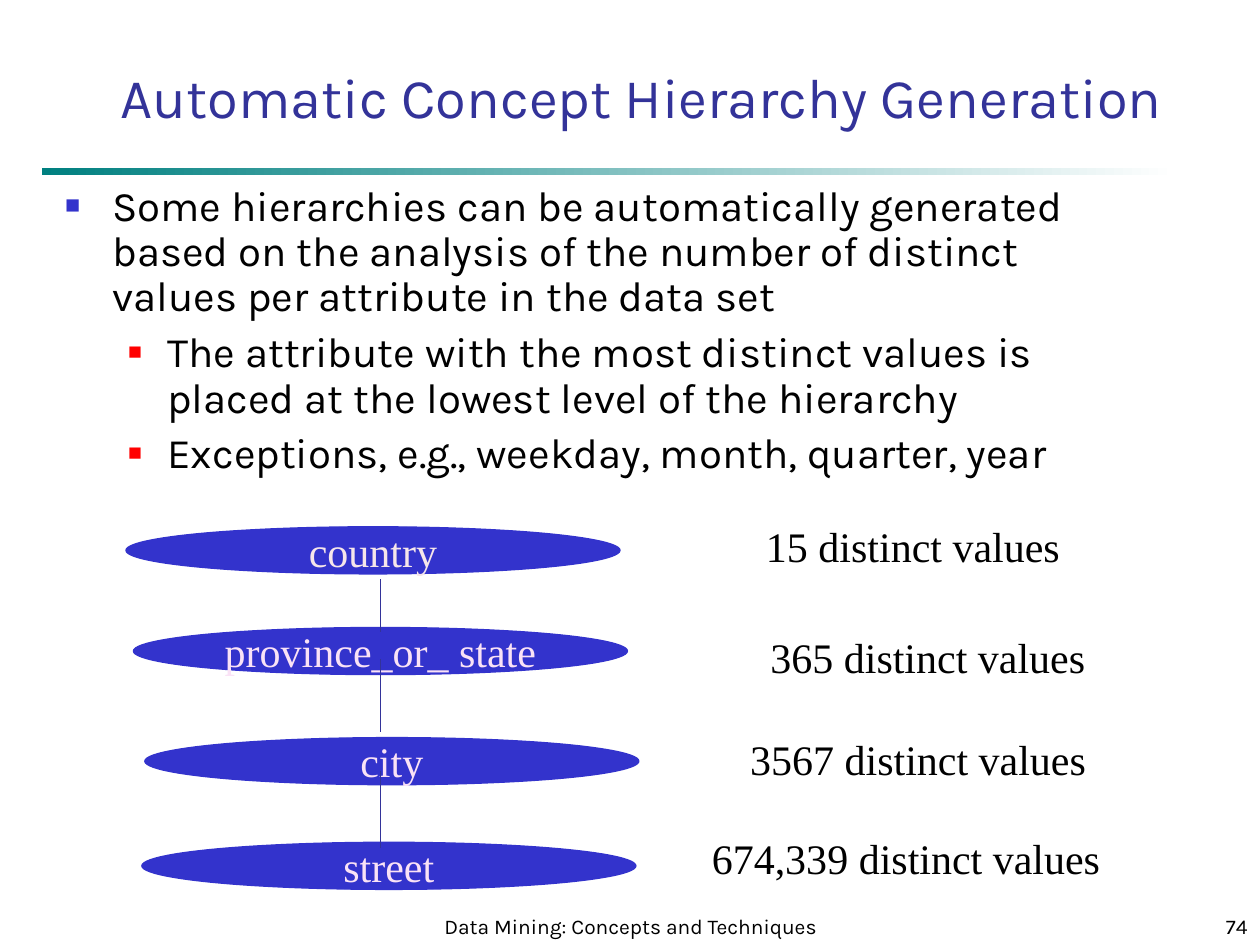
"""Build the slide on automatic concept hierarchy generation."""
from lxml.etree import SubElement
from pptx import Presentation
from pptx.dml.color import RGBColor
from pptx.enum.shapes import MSO_CONNECTOR, MSO_SHAPE
from pptx.enum.text import MSO_ANCHOR, MSO_AUTO_SIZE, PP_ALIGN
from pptx.oxml.ns import qn
from pptx.util import Cm, Pt

WHITE = RGBColor(0xFF, 0xFF, 0xFF)
BLACK = RGBColor(0x00, 0x00, 0x00)
TEAL = RGBColor(0x00, 0x80, 0x80)
NAVY = RGBColor(0x33, 0x33, 0x99)
BLUE = RGBColor(0x33, 0x33, 0xCC)
RED = RGBColor(0xFF, 0x00, 0x00)
ROSE = RGBColor(0xF6, 0xE6, 0xEA)
PINK = RGBColor(0xFA, 0xE2, 0xF6)
SANS = "Karla"
SERIF = "Times New Roman"


def write(shape, text, size=24, font=SERIF, color=BLACK, align=PP_ALIGN.CENTER,
          anchor=MSO_ANCHOR.TOP, wrap=True):
    frame = shape.text_frame
    frame.auto_size = MSO_AUTO_SIZE.NONE
    frame.word_wrap = wrap
    frame.vertical_anchor = anchor
    paragraph = frame.paragraphs[0]
    if paragraph.runs:
        paragraph = frame.add_paragraph()
    paragraph.alignment = align
    run = paragraph.add_run()
    run.text = text
    run.font.size = Pt(size)
    run.font.name = font
    run.font.color.rgb = color
    return paragraph


def add_bullet(paragraph, color, percent, left, hanging):
    properties = paragraph._p.get_or_add_pPr()
    properties.set("marL", str(Cm(left)))
    properties.set("indent", str(-Cm(hanging)))
    bullet_color = SubElement(properties, qn("a:buClr"))
    SubElement(bullet_color, qn("a:srgbClr"), val=str(color))
    SubElement(properties, qn("a:buSzPct"), val=str(percent * 1000))
    SubElement(properties, qn("a:buFont"), typeface="Arial")
    SubElement(properties, qn("a:buChar"), char="■")


presentation = Presentation()
presentation.slide_width = Cm(25.4)
presentation.slide_height = Cm(19.05)
slide = presentation.slides.add_slide(presentation.slide_layouts[1])
shapes = slide.shapes

rule = shapes.add_shape(MSO_SHAPE.RECTANGLE, Cm(0.85), Cm(3.39), Cm(22.86), Cm(0.14))
rule.shadow.inherit = False
rule.line.fill.background()
rule.fill.gradient()
rule.fill.gradient_angle = 180
for stop, position, color in zip(rule.fill.gradient_stops, (0, 1), (WHITE, TEAL)):
    stop.position = position
    stop.color.rgb = color

heading = shapes.title
heading.left, heading.top, heading.width, heading.height = Cm(2.12), Cm(0.85), Cm(21.64), Cm(1.9)
write(heading, "Automatic Concept Hierarchy Generation", size=32, font=SANS, color=NAVY,
      anchor=MSO_ANCHOR.BOTTOM)

points = slide.placeholders[1]
points.left, points.top, points.width, points.height = Cm(1.06), Cm(3.6), Cm(22.44), Cm(6.35)
for level, point in (
    (0, "Some hierarchies can be automatically generated based on the analysis of the number "
        "of distinct values per attribute in the data set"),
    (1, "The attribute with the most distinct values is placed at the lowest level of the hierarchy"),
    (1, "Exceptions, e.g., weekday, month, quarter, year"),
):
    paragraph = write(points, point, font=SANS, align=PP_ALIGN.LEFT)
    if level:
        add_bullet(paragraph, RED, 55, 2.06, 0.79)
    else:
        add_bullet(paragraph, BLUE, 60, 0.95, 0.95)
    paragraph.level = level
    paragraph.line_spacing = 0.9
    paragraph.space_before = Pt(6 if level else 0)

for attribute, left, top, color in (
    ("country", 2.54, 10.62, ROSE),
    ("province_or_ state", 2.69, 12.65, PINK),
    ("city", 2.92, 14.87, PINK),
    ("street", 2.86, 16.98, PINK),
):
    oval = shapes.add_shape(MSO_SHAPE.OVAL, Cm(left), Cm(top), Cm(9.96), Cm(0.95))
    oval.shadow.inherit = False
    oval.fill.solid()
    oval.fill.fore_color.rgb = BLUE
    oval.line.color.rgb = BLUE
    oval.line.width = Pt(0.75)
    write(oval, attribute, color=color, anchor=MSO_ANCHOR.MIDDLE, wrap=False)

for start, end in ((11.68, 12.75), (13.28, 14.76), (15.54, 17.09)):
    link = shapes.add_connector(MSO_CONNECTOR.STRAIGHT, Cm(7.67), Cm(start), Cm(7.67), Cm(end))
    link.line.color.rgb = NAVY
    link.line.width = Pt(0.75)
    SubElement(link._element.spPr, qn("a:effectLst"))

for count, left, top, width in (
    ("15 distinct values", 15.19, 10.36, 6.43),
    ("365 distinct values", 15.24, 12.6, 6.93),
    ("3567 distinct values", 14.88, 14.66, 7.26),
    ("674,339 distinct values", 14.1, 16.66, 8.33),
):
    write(shapes.add_textbox(Cm(left), Cm(top), Cm(width), Cm(1.27)), count, wrap=False)

for note, left, width, align in (
    ("Data Mining: Concepts and Techniques", 8.69, 8.05, PP_ALIGN.CENTER),
    ("74", 20.11, 5.29, PP_ALIGN.RIGHT),
):
    write(shapes.add_textbox(Cm(left), Cm(17.98), Cm(width), Cm(1.07)), note, size=12, font=SANS,
          align=align, anchor=MSO_ANCHOR.BOTTOM)

presentation.save("out.pptx")
